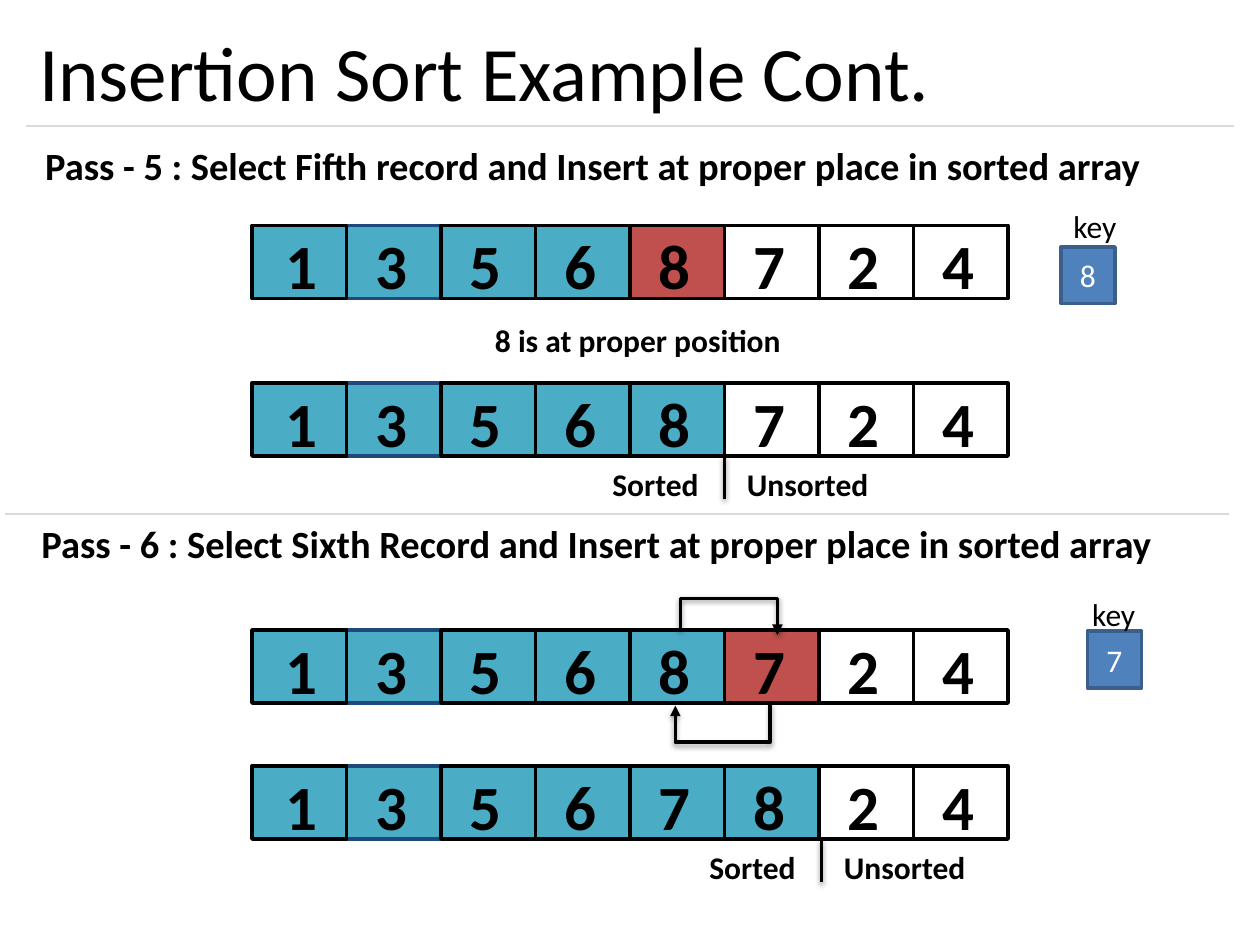
from collections import namedtuple
from dataclasses import dataclass

from lxml import etree
from pptx import Presentation
from pptx import util as u
from pptx.dml.color import RGBColor
from pptx.enum import shapes, text
from pptx.oxml.ns import qn

SCALE = 9144
Box = namedtuple("Box", "left top width height")
Row = namedtuple("Row", "top values sorted_count key_index")


@dataclass(frozen=True)
class Theme:
    font: str = "Calibri"
    ink: str = "000000"
    paper: str = "FFFFFF"
    rule: str = "D9D9D9"
    done: str = "4BACC6"
    done_edge: str = "1F497D"
    current: str = "C0504D"
    key: str = "4F81BD"
    key_edge: str = "3A5F8C"
    title_size: int = 44
    digit_size: int = 36
    heading_size: int = 22
    label_size: int = 18
    rule_width: float = 0.75
    line_width: int = 2


THEME = Theme()


def px(value):
    return u.Emu(round(value * SCALE))


def rgb(value):
    return RGBColor.from_string(value)


def style_para(para, size, color=THEME.ink, bold=False, align=None):
    para.alignment = align
    para.font.name = THEME.font
    para.font.size = u.Pt(size)
    para.font.bold = bold
    para.font.color.rgb = rgb(color)


def add_label(page, box, words, size=THEME.label_size, bold=True, align=None):
    frame = page.shapes.add_textbox(*map(px, box)).text_frame
    frame.word_wrap = False
    frame.auto_size = text.MSO_AUTO_SIZE.SHAPE_TO_FIT_TEXT
    frame.text = words
    style_para(frame.paragraphs[0], size, bold=bold, align=align)


def add_block(page, box, fill, edge):
    block = page.shapes.add_shape(shapes.MSO_SHAPE.RECTANGLE, *map(px, box))
    block.shadow.inherit = False
    block.fill.solid()
    block.fill.fore_color.rgb = rgb(fill)
    block.line.color.rgb = rgb(edge)
    block.line.width = u.Pt(THEME.line_width)
    return block


def add_line(page, start, end, color=THEME.ink, width=THEME.line_width,
             kind=shapes.MSO_CONNECTOR.STRAIGHT, shadow=True):
    line = page.shapes.add_connector(kind, *map(px, (*start, *end)))
    line.line.color.rgb = rgb(color)
    line.line.width = u.Pt(width)
    effects = etree.SubElement(line._element.spPr, qn("a:effectLst"))
    if shadow:
        outer = etree.SubElement(effects, qn("a:outerShdw"), blurRad="40000",
                                 dist="20000", dir="5400000", rotWithShape="0")
        tint = etree.SubElement(outer, qn("a:srgbClr"), val=THEME.ink)
        etree.SubElement(tint, qn("a:alpha"), val="38000")
    return line


def add_rule(page, left, right, top):
    add_line(page, (left, top), (right, top), THEME.rule, THEME.rule_width, shadow=False)


def add_bent_arrow(page, start, end, turn):
    drop, run = end[1] - start[1], abs(end[0] - start[0])
    left = (start[0] + end[0] - drop) / 2
    top = (start[1] + end[1] - run) / 2
    arrow = add_line(page, (left, top), (left + drop, top + run),
                     kind=shapes.MSO_CONNECTOR.ELBOW)
    properties = arrow._element.spPr
    frame = properties.find(qn("a:xfrm"))
    if end[0] > start[0]:
        frame.set("rot", "16200000")
        frame.set("flipH", "1")
    else:
        frame.set("rot", "5400000")
    guides = properties.find(qn("a:prstGeom")).get_or_add_avLst()
    ratio = round((turn - start[1]) / drop * 100000)
    etree.SubElement(guides, qn("a:gd"), name="adj1", fmla=f"val {ratio}")
    etree.SubElement(properties.find(qn("a:ln")), qn("a:tailEnd"), type="triangle")


def draw_title(page, box):
    title = page.shapes.title
    title.left, title.top, title.width, title.height = map(px, box)
    frame = title.text_frame
    frame.text = "Insertion Sort Example Cont."
    frame.vertical_anchor = text.MSO_ANCHOR.MIDDLE
    style_para(frame.paragraphs[0], THEME.title_size, align=text.PP_ALIGN.LEFT)
    add_rule(page, box.left, box.left + box.width, box.top + box.height)


def draw_array(page, box, row):
    cell_width = box.width // len(row.values)
    for index in (1, 0, *range(2, len(row.values))):
        left = box.left + index * cell_width
        fill = THEME.done if index < row.sorted_count else THEME.paper
        if index == row.key_index:
            fill = THEME.current
        edge = THEME.done_edge if index == 1 else THEME.ink
        add_block(page, Box(left, box.top, cell_width, box.height), fill, edge)
    for index, value in enumerate(row.values):
        inset = 13 if index else 17
        left = box.left + index * cell_width + inset
        add_label(page, Box(left, box.top - 4, 46, 71), value, THEME.digit_size)


def draw_split(page, left, top):
    add_line(page, (left, top), (left, top + 34))
    add_label(page, Box(left - 100, top + 2, 95, 40), "Sorted ", align=text.PP_ALIGN.RIGHT)
    add_label(page, Box(left + 8, top + 2, 123, 40), "Unsorted")


def draw_key(page, label_box, block_box, value):
    block = add_block(page, block_box, THEME.key, THEME.key_edge)
    frame = block.text_frame
    frame.text = value
    frame.vertical_anchor = text.MSO_ANCHOR.MIDDLE
    style_para(frame.paragraphs[0], THEME.label_size, THEME.paper,
               align=text.PP_ALIGN.CENTER)
    add_label(page, label_box, "key", bold=False)


def draw_pass(page, box, heading, rows, split):
    add_label(page, Box(box.left, box.top, box.width, 47), heading, THEME.heading_size)
    for row in rows:
        draw_array(page, Box(200, box.top + row.top, 600, 58), row)
    draw_split(page, split, box.top + rows[-1].top + 58)


def draw_pass_five(page, box):
    rows = [Row(71, "13568724", 5, 4), Row(196, "13568724", 5, None)]
    draw_pass(page, box, "Pass - 5 : Select Fifth record and Insert at proper place in sorted array",
              rows, 575)
    add_label(page, Box(383, box.top + 142, 249, 40), "8 is at proper position")
    draw_key(page, Box(842, box.top + 51, 55, 40), Box(842, box.top + 88, 43, 45), "8")


def draw_pass_six(page, box):
    rows = [Row(92, "13568724", 5, 5), Row(200, "13567824", 6, None)]
    add_rule(page, 4, 975, box.top)
    draw_pass(page, box, "Pass - 6 : Select Sixth Record and Insert at proper place in sorted array",
              rows, 652)
    add_bent_arrow(page, (540, box.top + 92), (617, box.top + 96), box.top + 67)
    add_bent_arrow(page, (611, box.top + 150), (536, box.top + 152), box.top + 181)
    draw_key(page, Box(857, box.top + 59, 55, 40), Box(863, box.top + 93, 43, 45), "7")


def main():
    deck = Presentation()
    deck.slide_width, deck.slide_height = px(1000), px(750)
    page = deck.slides.add_slide(deck.slide_layouts[5])
    draw_title(page, Box(21, 12, 958, 88))
    draw_pass_five(page, Box(26, 108, 908, 300))
    draw_pass_six(page, Box(23, 408, 918, 300))
    deck.save("out.pptx")


if __name__ == "__main__":
    main()
